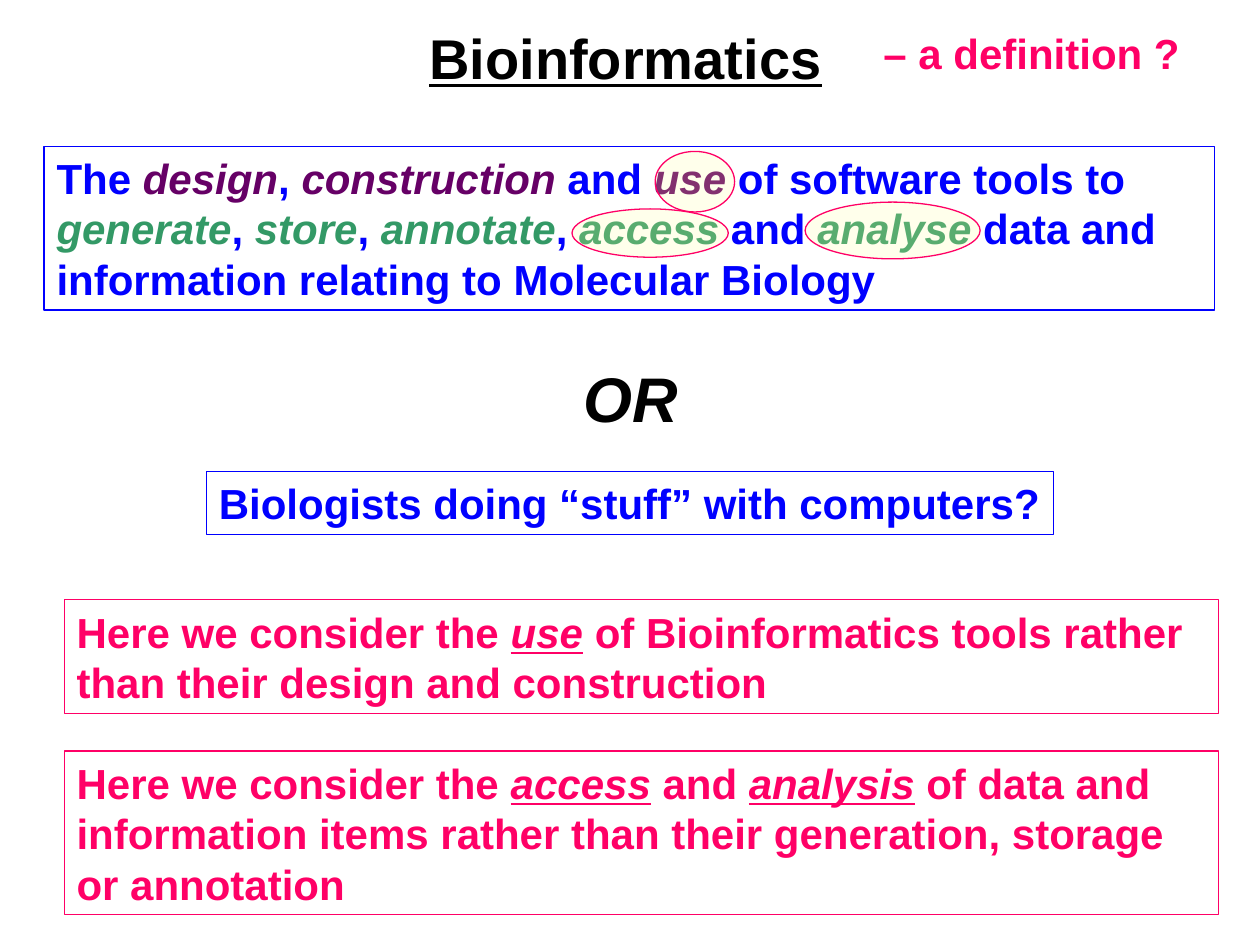
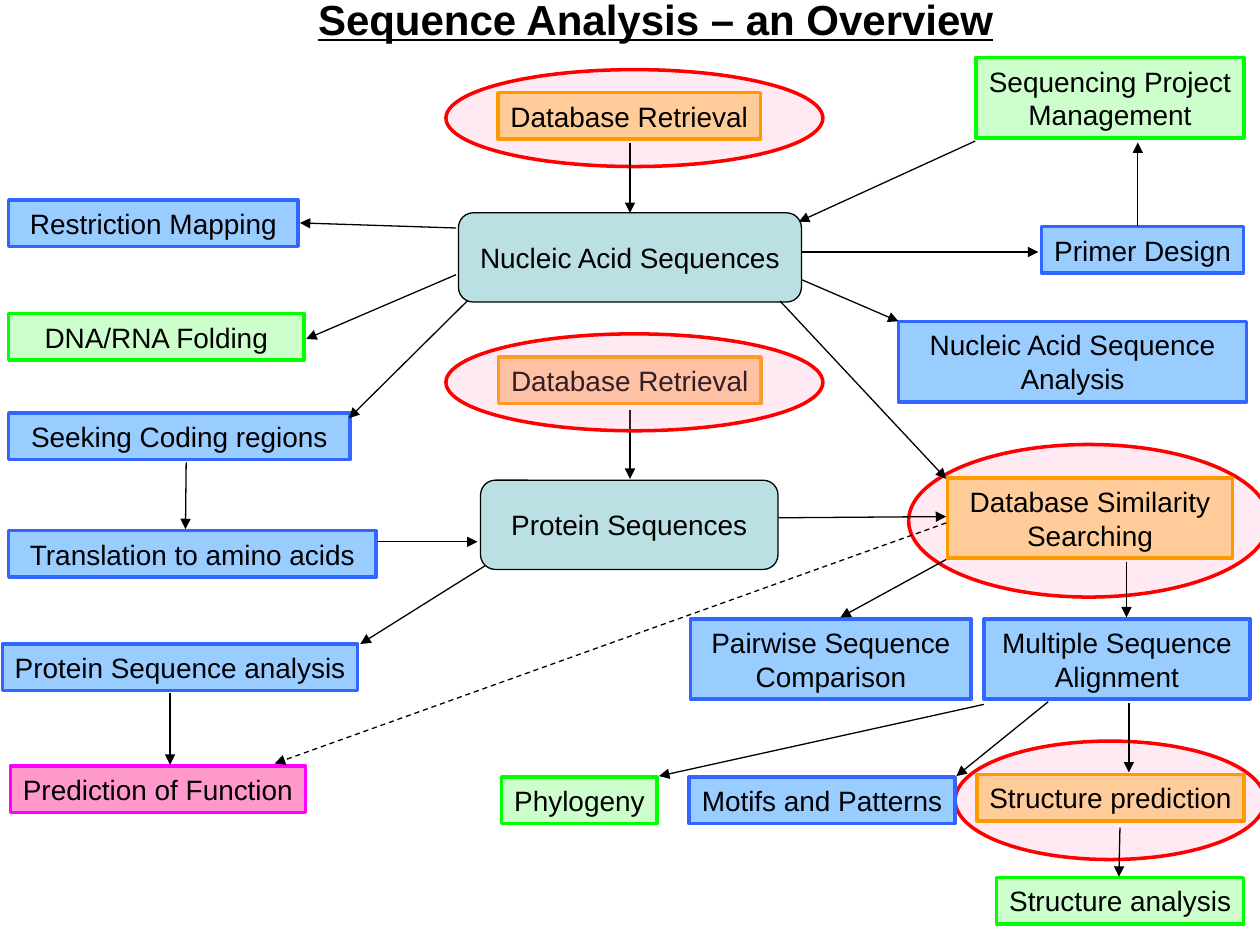
from dataclasses import dataclass

from lxml import etree
from pptx import Presentation
from pptx.dml.color import RGBColor
from pptx.enum import dml, shapes, text
from pptx.oxml import ns
from pptx.util import Pt


@dataclass(frozen=True)
class Theme:
    font: str = "Arial"
    ink: str = "000000"
    blue: str = "0000FF"
    rose: str = "FF0066"
    plum: str = "660066"
    green: str = "339966"
    highlight: str = "FFFF99"
    halo: str = "FF99CC"
    halo_edge: str = "FF0000"
    heading: int = 32
    body: int = 24
    alternative: int = 36
    node: int = 16
    thin: float = 0.75
    thick: float = 2


THEME = Theme()

# Fill and edge of each kind of step in the flow chart
NODE_COLOURS = {
    "sequence": ("BBE0E3", "000000"),
    "database": ("FFCC99", "FF9900"),
    "analysis": ("99CCFF", "3366FF"),
    "further": ("CCFFCC", "00FF00"),
    "function": ("FF99CC", "FF00FF"),
}


@dataclass(frozen=True)
class Box:
    left: float
    top: float
    width: float
    height: float

    def inside(self, left, top, width, height):
        return Box(self.left + left, self.top + top, width, height)

    def lengths(self):
        return [Pt(n) for n in (self.left, self.top, self.width, self.height)]


PAGE = Box(0, 0, 720, 540)


def rgb(colour):
    return RGBColor.from_string(colour)


def set_frame(frame, wrap):
    frame.auto_size = text.MSO_AUTO_SIZE.NONE
    frame.word_wrap = wrap
    frame.vertical_anchor = text.MSO_ANCHOR.MIDDLE
    frame.margin_left = frame.margin_right = Pt(7.2)
    frame.margin_top = frame.margin_bottom = Pt(3.6)


def style_run(run, size, colour, bold=False, italic=False, underline=False):
    font = run.font
    font.name, font.size = THEME.font, Pt(size)
    font.color.rgb = rgb(colour)
    font.bold, font.italic, font.underline = bold, italic, underline


def write(frame, wording, align, size, colour, **style):
    frame.text = wording
    for paragraph in frame.paragraphs:
        paragraph.alignment = align
        for run in paragraph.runs:
            style_run(run, size, colour, **style)


def add_outline(slide, kind, box, edge, width, fill=None, opacity=100):
    outline = slide.shapes.add_shape(kind, *box.lengths())
    outline.shadow.inherit = False
    outline.line.color.rgb = rgb(edge)
    outline.line.width = Pt(width)
    if fill is None:
        outline.fill.background()
        return outline
    outline.fill.solid()
    outline.fill.fore_color.rgb = rgb(fill)
    if opacity < 100:
        colour = outline._element.spPr.find(".//" + ns.qn("a:srgbClr"))
        etree.SubElement(colour, ns.qn("a:alpha"), val=str(opacity * 1000))
    return outline


def add_title(slide, box, wording, size):
    title = slide.shapes.title
    title.left, title.top, title.width, title.height = box.lengths()
    set_frame(title.text_frame, wrap=False)
    write(title.text_frame, wording, text.PP_ALIGN.CENTER, size, THEME.ink,
          bold=True, underline=True)


def add_caption(slide, box, wording, size, colour, italic=False):
    caption = slide.shapes.add_textbox(*box.lengths()).text_frame
    set_frame(caption, wrap=False)
    write(caption, wording, text.PP_ALIGN.CENTER, size, colour, bold=True, italic=italic)


def add_statement(slide, box, phrases, colour, emphasis_underlined=False):
    """Frame a bold sentence; phrases are (wording, emphasis colour or None)."""
    frame = add_outline(slide, shapes.MSO_SHAPE.RECTANGLE, box, colour,
                        THEME.thin).text_frame
    set_frame(frame, wrap=len(phrases) > 1)
    sentence = frame.paragraphs[0]
    sentence.alignment = text.PP_ALIGN.LEFT
    for wording, emphasis in phrases:
        run = sentence.add_run()
        run.text = wording
        style_run(run, THEME.body, emphasis or colour, bold=True,
                  italic=emphasis is not None,
                  underline=emphasis is not None and emphasis_underlined)


def add_definition(slide, box):
    plum, green = THEME.plum, THEME.green
    add_statement(slide, box, [
        ("The ", None), ("design", plum), (", ", None), ("construction", plum),
        (" and ", None), ("use", plum), (" of software tools to ", None),
        ("generate", green), (", ", None), ("store", green), (", ", None),
        ("annotate", green), (", ", None), ("access", green), (" and ", None),
        ("analyse", green),
        (" data and information relating to Molecular Biology", None),
    ], THEME.blue)
    use, analyse, access = ((349.2, 2.9, 45.4, 34.6), (434.9, 31.9, 100, 32.4),
                            (301.7, 35.8, 89.3, 27.6))
    for word in (use, analyse, access):
        add_outline(slide, shapes.MSO_SHAPE.OVAL, box.inside(*word), THEME.rose,
                    THEME.thin, THEME.highlight, opacity=19)


def add_scope(slide, box):
    """Place the two statements of what is covered, one above the other."""
    rose = THEME.rose
    add_statement(slide, box.inside(0, 0, box.width, 64.8), [
        ("Here we consider the ", None), ("use", rose),
        (" of Bioinformatics tools rather than their design and construction", None),
    ], rose, emphasis_underlined=True)
    add_statement(slide, box.inside(0, 86.4, box.width, 93.6), [
        ("Here we consider the ", None), ("access", rose), (" and ", None),
        ("analysis", rose),
        (" of data and information items rather than their generation, storage "
         "or annotation", None),
    ], rose, emphasis_underlined=True)


def build_definition_slide(slide, page):
    add_title(slide, page.inside(217.6, 9.4, 280, 46), "Bioinformatics", THEME.heading)
    add_caption(slide, page.inside(497.5, 12, 184, 36), "– a definition ?",
                THEME.body, THEME.rose)
    add_definition(slide, page.inside(25.2, 83.6, 669, 93.6))
    add_caption(slide, page.inside(326, 202, 68.4, 50.4), "OR",
                THEME.alternative, THEME.ink, italic=True)
    add_statement(slide, page.inside(118, 269.4, 484, 36),
                  [("Biologists doing “stuff” with computers?", None)], THEME.blue)
    add_scope(slide, page.inside(36.7, 342.8, 659.5, 180))


# kind, wording, left, top, width, lines of text
STEPS = [
    ("database", "Database Retrieval", 284.6, 53, 150, 1),
    ("database", "Database Retrieval", 284.9, 204, 150, 1),
    ("further", "Sequencing Project\nManagement", 557.8, 32.9, 153, 2),
    ("analysis", "Primer Design", 595.2, 129.5, 115.5, 1),
    ("analysis", "Nucleic Acid Sequence Analysis", 513.4, 183.6, 199, 2),
    ("analysis", "Restriction Mapping", 5, 114.2, 165.3, 1),
    ("further", "DNA/RNA Folding", 5, 179.2, 168.7, 1),
    ("analysis", "Seeking Coding regions", 5, 236, 195, 1),
    ("analysis", "Translation to amino acids", 5, 303.2, 210, 1),
    ("analysis", "Protein Sequence analysis", 1.4, 368, 203, 1),
    ("function", "Prediction of Function", 6, 437.8, 168.6, 1),
    ("database", "Database Similarity Searching", 541.4, 273, 163, 2),
    ("analysis", "Pairwise Sequence Comparison", 394.6, 353.6, 160.4, 2),
    ("analysis", "Multiple Sequence Alignment", 562.3, 353.6, 152, 2),
    ("further", "Phylogeny", 286.6, 444, 89, 1),
    ("analysis", "Motifs and Patterns", 393.8, 444, 152, 1),
    ("database", "Structure prediction", 558.2, 442.6, 152.8, 1),
    ("further", "Structure analysis", 569.5, 501.4, 141.2, 1),
]

# wording, left, top, width
SEQUENCES = [
    ("Nucleic Acid Sequences", 262, 121.6, 196),
    ("Protein Sequences", 274.6, 274.4, 170),
]

# Start x, y and end x, y
ARROWS = [
    # into the sequences
    (360, 82, 360, 121.7), (360, 234, 360, 273.6),
    (557.3, 80.6, 456.5, 126.7), (216, 309.6, 272.9, 309.6),
    # out of the nucleic acid sequences
    (458, 144, 593.3, 144), (458, 159.8, 513.4, 183.6),
    (260.6, 130.3, 171.4, 127.4), (260.6, 157, 175, 193.7),
    (267, 172, 199.4, 239), (445.7, 172, 540.7, 273.6),
    # out of the protein sequences
    (445, 295.9, 540.7, 295.2), (277.2, 323.3, 205.9, 368),
    # between analyses
    (650.2, 129, 650.2, 81.4), (106.4, 264.2, 106, 302.4),
    (97.2, 396, 97.2, 437), (643.7, 321, 643.7, 352.8),
    (540.7, 319.7, 480.2, 352.8), (645.1, 401.8, 645.1, 441.4),
    (640, 473, 639.4, 501), (599, 401, 546.5, 443.5),
    (562.3, 402.5, 376.6, 443.5),
]
PREDICTION_ARROW = (540.7, 298.8, 157, 436.3)


def add_node(slide, box, kind, wording, shape, width, wrap=False):
    fill, edge = NODE_COLOURS[kind]
    frame = add_outline(slide, shape, box, edge, width, fill).text_frame
    set_frame(frame, wrap)
    write(frame, wording, text.PP_ALIGN.CENTER, THEME.node, THEME.ink)


def add_arrow(slide, page, ends, dashed=False):
    x1, y1, x2, y2 = ends
    arrow = slide.shapes.add_connector(
        shapes.MSO_CONNECTOR.STRAIGHT, Pt(page.left + x1), Pt(page.top + y1),
        Pt(page.left + x2), Pt(page.top + y2))
    arrow.line.color.rgb = rgb(THEME.ink)
    arrow.line.width = Pt(THEME.thin)
    if dashed:
        arrow.line.dash_style = dml.MSO_LINE.DASH
    properties = arrow._element.spPr
    etree.SubElement(properties.find(ns.qn("a:ln")), ns.qn("a:tailEnd"), type="triangle")
    etree.SubElement(properties, ns.qn("a:effectLst"))


def add_halo(slide, box):
    add_outline(slide, shapes.MSO_SHAPE.OVAL, box, THEME.halo_edge, THEME.thick,
                THEME.halo, opacity=20)


def build_overview_slide(slide, page):
    add_title(slide, page.inside(144.7, -7.2, 460, 36),
              "Sequence Analysis – an Overview", THEME.body)
    nucleic_retrieval = (254.8, 39.8, 215.4, 55.4)
    structure, similarity = (545.8, 423.5, 177, 67.7), (519.2, 254, 206, 87.2)
    for halo in (nucleic_retrieval, structure, similarity):
        add_halo(slide, page.inside(*halo))
    for wording, left, top, width in SEQUENCES:
        add_node(slide, page.inside(left, top, width, 51), "sequence", wording,
                 shapes.MSO_SHAPE.ROUNDED_RECTANGLE, THEME.thin)
    for kind, wording, left, top, width, lines in STEPS:
        add_node(slide, page.inside(left, top, width, 7.2 + 19.4 * lines), kind, wording,
                 shapes.MSO_SHAPE.RECTANGLE, THEME.thick, wrap=lines > 1)
    for ends in ARROWS:
        add_arrow(slide, page, ends)
    add_arrow(slide, page, PREDICTION_ARROW, dashed=True)
    protein_retrieval = (254.8, 190.8, 215.4, 55.4)
    add_halo(slide, page.inside(*protein_retrieval))


def main():
    deck = Presentation()
    deck.slide_width, deck.slide_height = Pt(PAGE.width), Pt(PAGE.height)
    title_only = deck.slide_layouts[5]
    for build in (build_definition_slide, build_overview_slide):
        build(deck.slides.add_slide(title_only), PAGE)
    deck.save("out.pptx")


if __name__ == "__main__":
    main()
